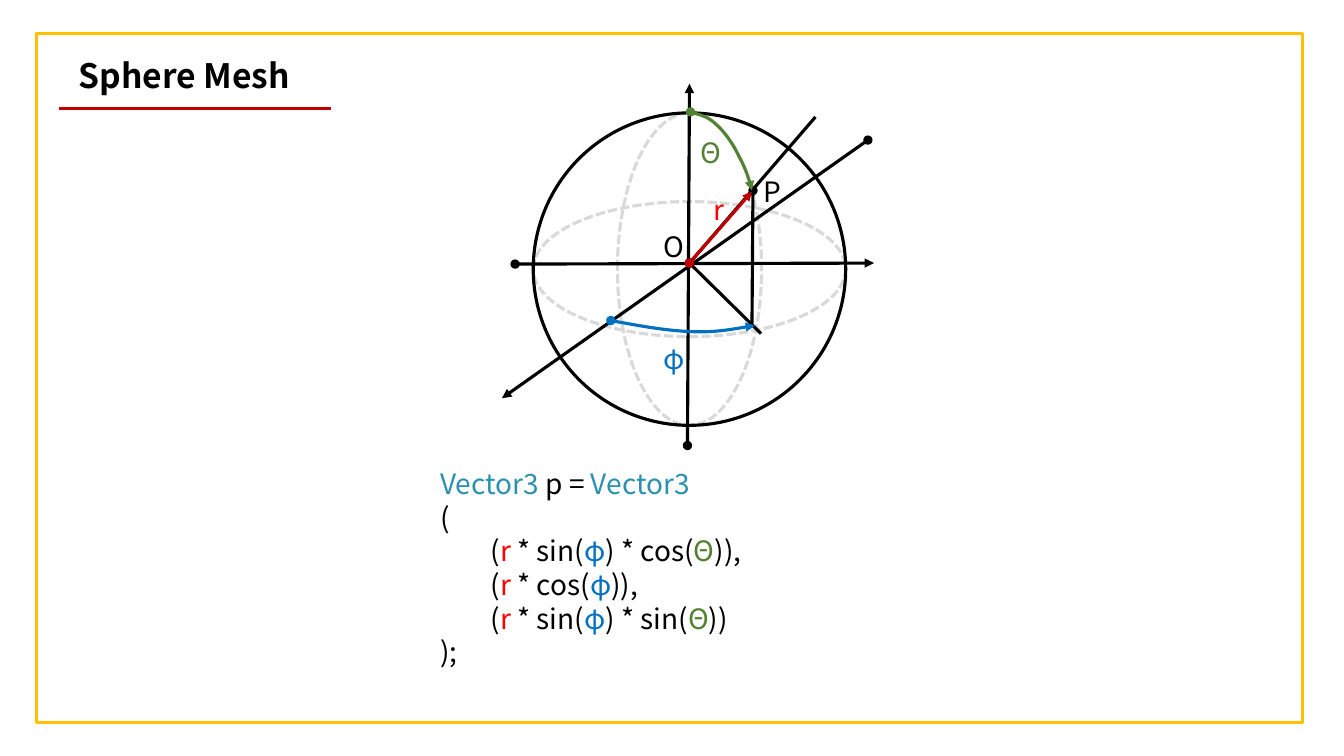
from lxml import etree
from pptx import Presentation
from pptx import util as u
from pptx.dml.color import RGBColor
from pptx.enum import dml, shapes, text
from pptx.oxml.ns import qn

BLACK, RED, DARK_RED = "000000", "FF0000", "C00000"
BLUE, GREEN, TEAL = "0070C0", "548235", "2B91AF"
GOLD, GREY = "FFC000", "D9D9D9"


def color(hex_string):
    return RGBColor.from_string(hex_string)


class Board:
    font = "Noto Sans CJK KR"
    stroke = u.Pt(2.25)
    columns, rows = 133.33, 75
    leading = 1.2

    def __init__(self, deck):
        self.slide = deck.slides.add_slide(deck.slide_layouts[5])
        self.items = self.slide.shapes
        self.cell_w = deck.slide_width / self.columns
        self.cell_h = deck.slide_height / self.rows

    def point(self, column, row):
        return round(column * self.cell_w), round(row * self.cell_h)

    def box(self, left, top, width, height):
        return (*self.point(left, top), *self.point(width, height))

    def fill_text(self, frame, lines, size, bold=False, align=text.PP_ALIGN.LEFT):
        frame.word_wrap = True
        frame.auto_size = text.MSO_AUTO_SIZE.NONE
        frame.vertical_anchor = text.MSO_ANCHOR.TOP
        for number, (level, pieces) in enumerate(lines):
            paragraph = frame.add_paragraph() if number else frame.paragraphs[0]
            paragraph.level = level
            paragraph.alignment = align
            paragraph.line_spacing = u.Pt(size * self.leading)
            for wording, ink in pieces:
                run = paragraph.add_run()
                run.text = wording
                run.font.name = self.font
                run.font.size = u.Pt(size)
                run.font.bold = bold
                run.font.color.rgb = color(ink)

    def title(self, wording, *area):
        heading = self.items.title
        heading.left, heading.top, heading.width, heading.height = self.box(*area)
        self.fill_text(heading.text_frame, [(0, [(wording, BLACK)])], 24, bold=True)

    def words(self, lines, *area, align=text.PP_ALIGN.LEFT):
        frame = self.items.add_textbox(*self.box(*area)).text_frame
        self.fill_text(frame, lines, 20, align=align)

    def label(self, wording, ink, center, top):
        self.words([(0, [(wording, ink)])], center - 2.65, top, 5.3, 4.4,
                   align=text.PP_ALIGN.CENTER)

    def outline(self, kind, ink, left, top, width, height, dashed=False):
        figure = self.items.add_shape(kind, *self.box(left, top, width, height))
        figure.shadow.inherit = False
        figure.fill.background()
        self.ink(figure, ink)
        if dashed:
            figure.line.dash_style = dml.MSO_LINE.SQUARE_DOT

    def ellipse(self, ink, center, radius_x, radius_y, dashed=False):
        self.outline(shapes.MSO_SHAPE.OVAL, ink, center[0] - radius_x,
                     center[1] - radius_y, 2 * radius_x, 2 * radius_y, dashed)

    def ink(self, figure, ink, dot=False, arrow=False):
        figure.line.color.rgb = color(ink)
        figure.line.width = self.stroke
        ends = figure.line._get_or_add_ln()
        for wanted, tag, kind in ((dot, "a:headEnd", "oval"), (arrow, "a:tailEnd", "triangle")):
            if wanted:
                etree.SubElement(ends, qn(tag), type=kind)

    def line(self, ink, start, end, dot=True, arrow=False):
        stroke = self.items.add_connector(
            shapes.MSO_CONNECTOR.STRAIGHT, *self.point(*start), *self.point(*end))
        self.ink(stroke, ink, dot, arrow)
        etree.SubElement(stroke._element.spPr, qn("a:effectLst"))

    def curve(self, ink, start, *controls):
        builder = self.items.build_freeform(*self.point(*start))
        builder.add_line_segments([self.point(*spot) for spot in controls], close=False)
        arc = builder.convert_to_shape()
        arc.shadow.inherit = False
        arc.fill.background()
        self.ink(arc, ink, dot=True, arrow=True)
        segments = list(arc._element.iter(qn("a:lnTo")))
        for first in range(0, len(segments), 3):
            bend = etree.Element(qn("a:cubicBezTo"))
            segments[first].addprevious(bend)
            for segment in segments[first:first + 3]:
                bend.append(segment[0])
                segment.getparent().remove(segment)


def coordinate(before, angle, after):
    return 1, [("(", BLACK), ("r", RED), (before, BLACK), ("φ", BLUE), *angle, (after, BLACK)]


def theta(function):
    return [(f") * {function}(", BLACK), ("Θ", GREEN)]


deck = Presentation()
deck.slide_width, deck.slide_height = u.Inches(13.33), u.Inches(7.5)
board = Board(deck)

board.title("Sphere Mesh", 6.8, 4.9, 23, 5)
board.words([
    (0, [("Vector3", TEAL), (" p = ", BLACK), ("Vector3", TEAL)]),
    (0, [("(", BLACK)]),
    coordinate(" * sin(", theta("cos"), ")),"),
    coordinate(" * cos(", [], ")),"),
    coordinate(" * sin(", theta("sin"), "))"),
    (0, [(");", BLACK)]),
], 42.7, 45.8, 51.2, 21.2)
board.outline(shapes.MSO_SHAPE.RECTANGLE, GOLD, 3.6, 3.3, 125.6, 68.4)

center, radius = (68.4, 26.7), 15.5
origin, surface, foot = (68.4, 26.1), (74.6, 19), (74.6, 32.1)

board.ellipse(GREY, center, radius, 6.7, dashed=True)
board.ellipse(GREY, center, 7.15, radius, dashed=True)
for start, end in (((86.1, 13.9), (49.8, 39.5)),
                   ((68.2, 44.2), (68.4, 8.3)),
                   ((51.1, 26.2), (86.7, 26.1))):
    board.line(BLACK, start, end, arrow=True)
for start, end in ((origin, (80.9, 11.6)), ((74.7, 18.9), foot), (origin, (75.5, 33.1))):
    board.line(BLACK, start, end)
board.ellipse(BLACK, center, radius, radius)
board.line(DARK_RED, origin, surface, arrow=True)
board.curve(BLUE, (60.6, 31.8), (63.3, 32.3), (66.1, 32.8), (68.5, 32.9),
            (70.9, 33), (72.9, 32.6), (74.9, 32.3))
board.curve(GREEN, (68.5, 11.1), (69.4, 11.4), (70.3, 11.6), (71.1, 12.4),
            (71.9, 13.1), (72.8, 14.4), (73.3, 15.5),
            (73.9, 16.6), (74.3, 17.7), (74.6, 18.9))
for wording, ink, middle, top in (("O", BLACK, 66.85, 22.3), ("r", RED, 71.35, 18.6),
                                  ("φ", BLUE, 66.85, 33.4), ("Θ", GREEN, 70.55, 13),
                                  ("P", BLACK, 76.65, 16.8)):
    board.label(wording, ink, middle, top)
board.line(DARK_RED, (5.9, 10.8), (32.8, 10.8), dot=False)

deck.save("out.pptx")
